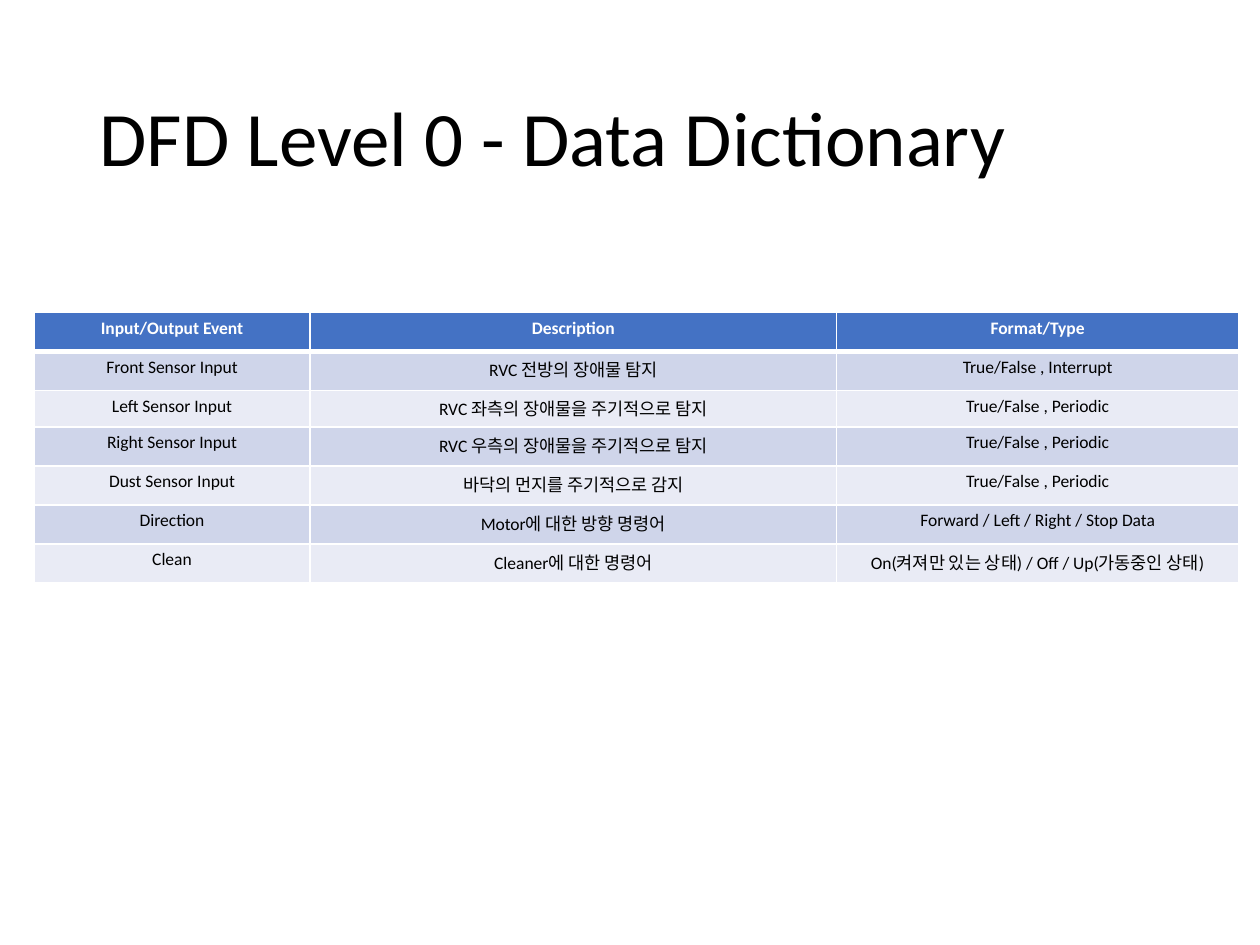
import pptx
import pptx.util
import pptx.dml.color
import pptx.enum.text
import pptx.oxml.ns
from lxml import etree

Inches, Pt = pptx.util.Inches, pptx.util.Pt

TITLE = "DFD Level 0 - Data Dictionary"
HEADER = ("Input/Output Event", "Description", "Format/Type")
EVENTS = [
    ("Front Sensor Input", "RVC 전방의 장애물 탐지", "True/False , Interrupt"),
    ("Left Sensor Input", "RVC 좌측의 장애물을 주기적으로 탐지", "True/False , Periodic"),
    ("Right Sensor Input", "RVC 우측의 장애물을 주기적으로 탐지", "True/False , Periodic"),
    ("Dust Sensor Input", "바닥의 먼지를 주기적으로 감지", "True/False , Periodic"),
    ("Direction", "Motor에 대한 방향 명령어", "Forward / Left / Right / Stop Data"),
    ("Clean", "Cleaner에 대한 명령어", "On(켜져만 있는 상태) / Off / Up(가동중인 상태)"),
]
COLUMN_WIDTHS = (2.19, 4.18, 3.19)
ROW_HEIGHTS = (0.31, 0.31, 0.29, 0.31, 0.31, 0.31, 0.31)
COLORS = {"header": "4472C4", "odd": "CFD5EA", "even": "E9EBF5",
          "white": "FFFFFF", "text": "000000"}
FONT = "Calibri"


def rgb(name):
    return pptx.dml.color.RGBColor.from_string(COLORS[name])


def style_text(paragraph, size, color, bold=False):
    for run in paragraph.runs:
        run.font.name = FONT
        run.font.size = Pt(size)
        run.font.bold = bold
        run.font.color.rgb = rgb(color)


def add_borders(cell, widths):
    """Draw white cell borders; widths maps L, R, T, B to points."""
    properties = cell._tc.get_or_add_tcPr()
    qn = pptx.oxml.ns.qn
    for side, width in widths.items():
        line = etree.SubElement(properties, qn(f"a:ln{side}"), w=str(Pt(width)))
        fill = etree.SubElement(line, qn("a:solidFill"))
        etree.SubElement(fill, qn("a:srgbClr"), val=COLORS["white"])


presentation = pptx.Presentation()
presentation.slide_width, presentation.slide_height = Inches(10), Inches(7.5)
slide = presentation.slides.add_slide(presentation.slide_layouts[5])

# Title
title = slide.shapes.title
title.left, title.top = Inches(0.69), Inches(0.4)
title.width, title.height = Inches(8.62), Inches(1.45)
title.text_frame.text = TITLE
title.text_frame.vertical_anchor = pptx.enum.text.MSO_ANCHOR.MIDDLE
heading = title.text_frame.paragraphs[0]
heading.alignment = pptx.enum.text.PP_ALIGN.LEFT
heading.line_spacing = 0.9
style_text(heading, 44, "text")

# Data dictionary table
rows = [HEADER] + EVENTS
dictionary = slide.shapes.add_table(
    len(rows), len(HEADER), Inches(0.27), Inches(2.48),
    Inches(sum(COLUMN_WIDTHS)), Inches(sum(ROW_HEIGHTS))).table
for column, width in zip(dictionary.columns, COLUMN_WIDTHS):
    column.width = Inches(width)
for row, height in zip(dictionary.rows, ROW_HEIGHTS):
    row.height = Inches(height)

for r, texts in enumerate(rows):
    is_header = r == 0
    band = "header" if is_header else ("odd" if r % 2 else "even")
    borders = {"L": 1, "R": 1, "T": 3 if r == 1 else 1, "B": 3 if is_header else 1}
    for c, text in enumerate(texts):
        cell = dictionary.cell(r, c)
        add_borders(cell, borders)
        cell.fill.solid()
        cell.fill.fore_color.rgb = rgb(band)
        cell.margin_left = cell.margin_right = Inches(0.07)
        cell.margin_top = cell.margin_bottom = Inches(0.04)
        cell.text_frame.text = text
        entry = cell.text_frame.paragraphs[0]
        entry.alignment = pptx.enum.text.PP_ALIGN.CENTER
        style_text(entry, 10, "white" if is_header else "text", is_header)

presentation.save("out.pptx")
